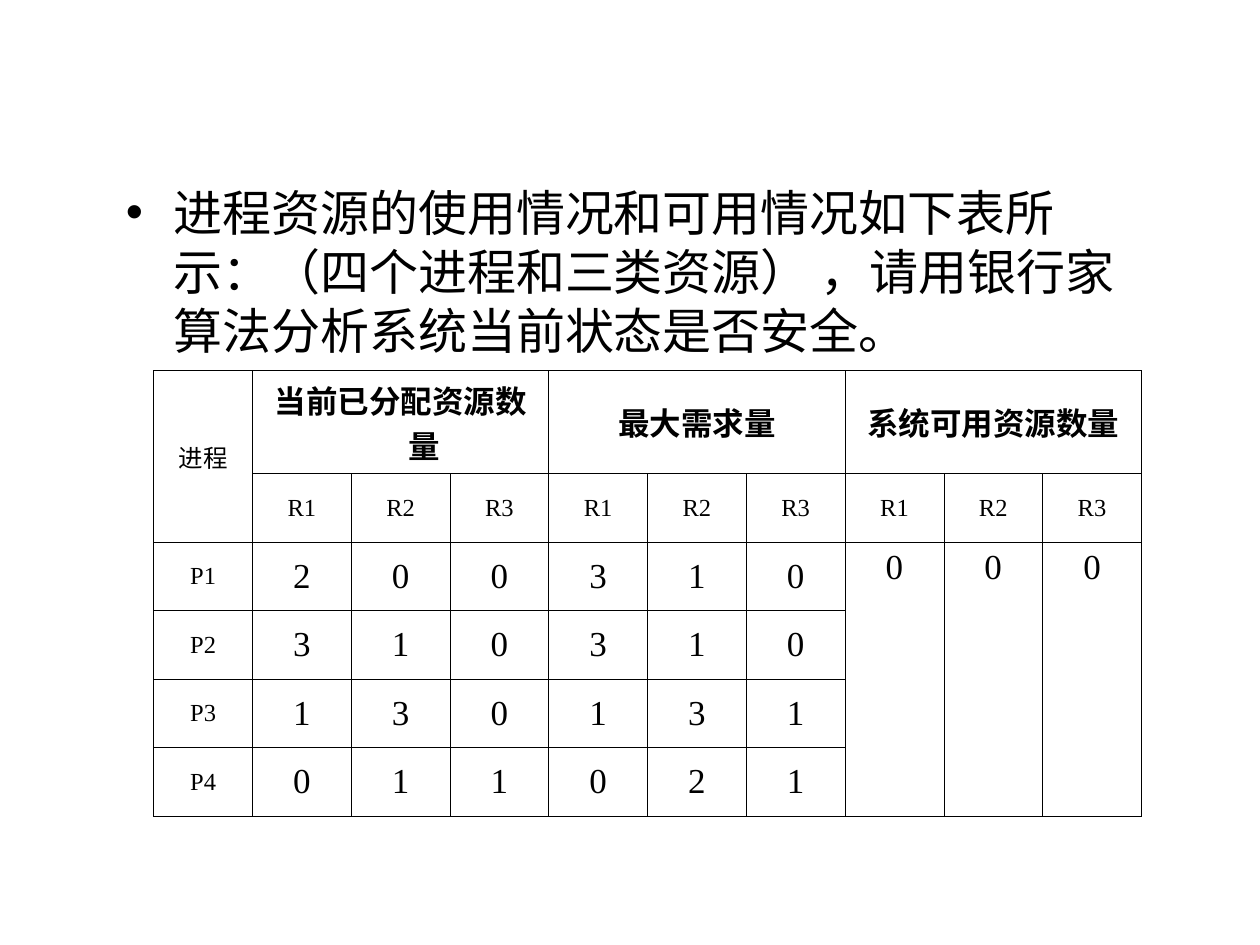
"""Build a slide with a process resource table for the banker's algorithm."""
from lxml import etree
from pptx import Presentation
from pptx.dml.color import RGBColor
from pptx.enum.lang import MSO_LANGUAGE_ID
from pptx.enum.text import MSO_ANCHOR, PP_ALIGN
from pptx.oxml.ns import qn
from pptx.util import Inches, Pt

BLACK = RGBColor(0x00, 0x00, 0x00)
CENTER = PP_ALIGN.CENTER
TOP = MSO_ANCHOR.TOP
MIDDLE = MSO_ANCHOR.MIDDLE
CHINESE = MSO_LANGUAGE_ID.SIMPLIFIED_CHINESE
INDENT = Inches(0.38)
BORDER_WIDTH = Pt(0.45)


def format_paragraph(paragraph, font_name, size, bold=False):
    properties = paragraph._p.get_or_add_pPr()
    properties.set("marL", str(INDENT))
    properties.set("indent", str(-INDENT))
    properties.set("hangingPunct", "0")
    for run in paragraph.runs:
        run.font.name = font_name
        run.font.size = Pt(size)
        run.font.bold = bold
        run.font.color.rgb = BLACK
        run.font.language_id = CHINESE


def add_borders(cell):
    properties = cell._tc.get_or_add_tcPr()
    for position, side in enumerate(("a:lnL", "a:lnR", "a:lnT", "a:lnB")):
        line = etree.Element(qn(side), w=str(BORDER_WIDTH))
        fill = etree.SubElement(line, qn("a:solidFill"))
        etree.SubElement(fill, qn("a:srgbClr"), val=str(BLACK))
        properties.insert(position, line)


presentation = Presentation()
presentation.slide_width = Inches(10)
presentation.slide_height = Inches(7.5)
slide = presentation.slides.add_slide(presentation.slide_layouts[6])

question = slide.shapes.add_textbox(Inches(0.9), Inches(1.4), Inches(8.13), Inches(4.9))
question.text_frame.word_wrap = True
question.text_frame.text = (
    "进程资源的使用情况和可用情况如下表所示：（四个进程和三类资源） ，"
    "请用银行家算法分析系统当前状态是否安全。"
)
paragraph = question.text_frame.paragraphs[0]
properties = paragraph._p.get_or_add_pPr()
etree.SubElement(properties, qn("a:buFont"), typeface="Arial")
etree.SubElement(properties, qn("a:buChar"), char="•")
format_paragraph(paragraph, "Arial", 28)

rows = [
    ["进程", "当前已分配资源数量", "", "", "最大需求量", "", "", "系统可用资源数量", "", ""],
    [""] + ["R1", "R2", "R3"] * 3,
    ["P1", "2", "0", "0", "3", "1", "0", "0", "0", "0"],
    ["P2", "3", "1", "0", "3", "1", "0", "", "", ""],
    ["P3", "1", "3", "0", "1", "3", "1", "", "", ""],
    ["P4", "0", "1", "1", "0", "2", "1", "", "", ""],
]
table_width, table_height, header_height = 7.84, 3.54, 0.82
table = slide.shapes.add_table(
    len(rows), len(rows[0]),
    Inches(1.22), Inches(2.94), Inches(table_width), Inches(table_height),
).table
table.first_row = False
table.horz_banding = False
for column in table.columns:
    column.width = Inches(table_width / len(rows[0]))
for row in table.rows:
    row.height = Inches((table_height - header_height) / (len(rows) - 1))
table.rows[0].height = Inches(header_height)

table.cell(0, 0).merge(table.cell(1, 0))
for first_column in (1, 4, 7):
    table.cell(0, first_column).merge(table.cell(0, first_column + 2))
for column_index in (7, 8, 9):
    table.cell(2, column_index).merge(table.cell(5, column_index))

for row_index, values in enumerate(rows):
    for column_index, value in enumerate(values):
        cell = table.cell(row_index, column_index)
        cell.fill.background()
        add_borders(cell)
        if not value:
            continue
        is_group = row_index == 0 and column_index > 0
        is_label = row_index < 2 or column_index == 0
        is_available = row_index > 1 and column_index > 6
        size = 18 if is_group else 14 if is_label else 20
        cell.vertical_anchor = TOP if is_available else MIDDLE
        cell.text_frame.text = value
        paragraph = cell.text_frame.paragraphs[0]
        paragraph.alignment = CENTER
        format_paragraph(paragraph, "Times New Roman", size, is_group)

presentation.save("out.pptx")
